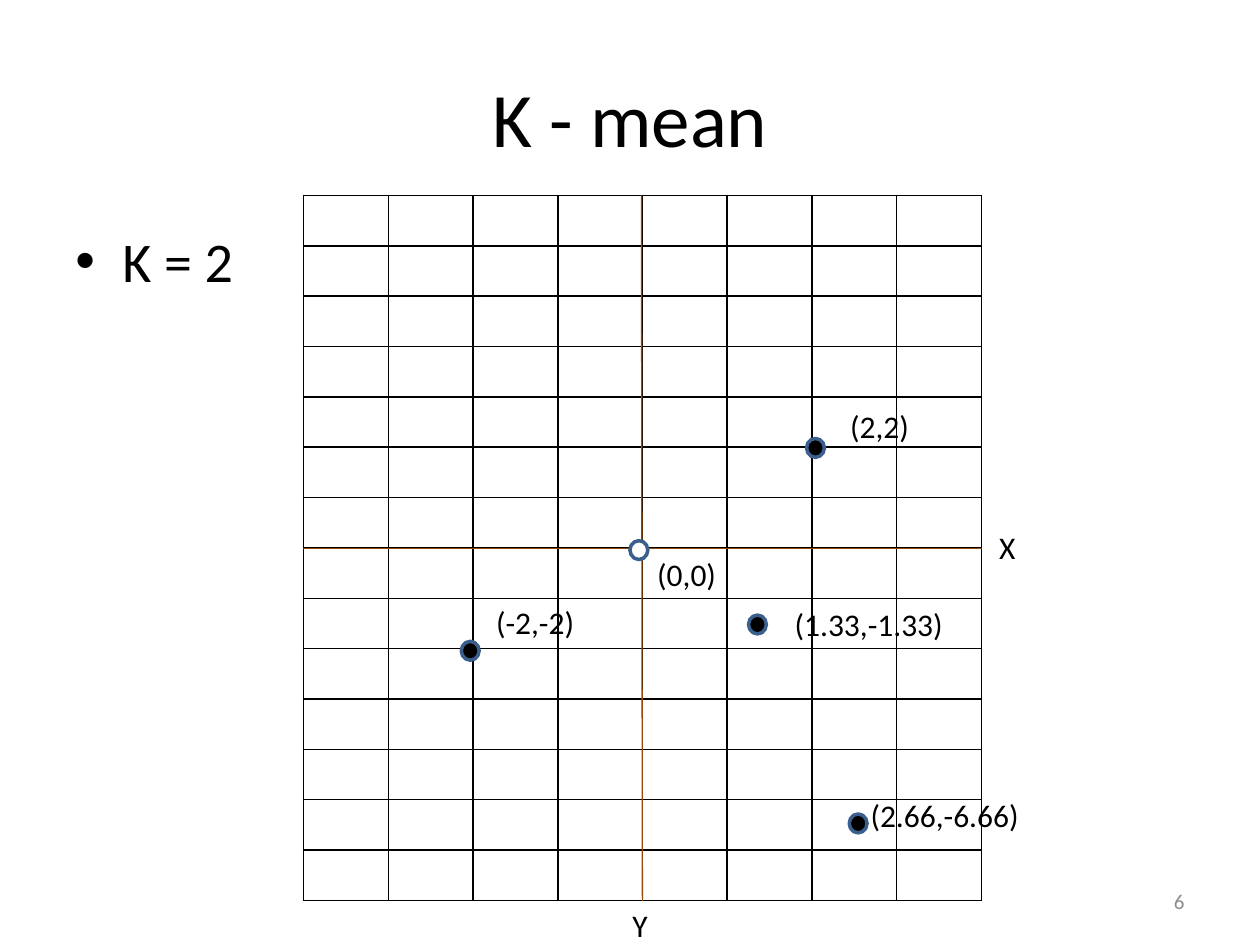
"""Build the K-mean slide: a ruled grid with two axes and labelled points."""
from dataclasses import dataclass

from lxml.etree import SubElement
from pptx import Presentation
from pptx.dml.color import RGBColor
from pptx.enum.shapes import MSO_CONNECTOR, MSO_SHAPE
from pptx.enum.text import MSO_ANCHOR, MSO_AUTO_SIZE, PP_ALIGN
from pptx.oxml.ns import qn
from pptx.util import Cm, Pt

FONT = "Calibri"
BLACK = "000000"
WHITE = "FFFFFF"
ROWS, COLUMNS = 14, 8
GRID_WIDTH, GRID_HEIGHT = 13.67, 14.22
WHITE_CELLS = {(5, 5), (8, 2), (12, 6)}


@dataclass(frozen=True)
class TextItem:
    text: str
    left: float
    top: float
    width: float
    height: float = 1.02
    size: float = 18
    color: str = BLACK
    align: PP_ALIGN = PP_ALIGN.LEFT
    anchor: MSO_ANCHOR = MSO_ANCHOR.TOP
    wrap: bool = False
    bullet: bool = False


@dataclass(frozen=True)
class Point:
    left: float
    top: float
    fill: str = BLACK


@dataclass(frozen=True)
class Axis:
    start_x: float
    start_y: float
    end_x: float
    end_y: float


HEADINGS = [
    TextItem("K - mean", 1.27, 0.76, 22.86, 3.18, 44, align=PP_ALIGN.CENTER,
             anchor=MSO_ANCHOR.MIDDLE, wrap=True),
    TextItem("K = 2", 1.27, 4.45, 22.86, 12.57, 32, wrap=True, bullet=True),
    TextItem("6", 18.21, 17.65, 5.92, 1.02, 12, "8C8C8C", PP_ALIGN.RIGHT,
             MSO_ANCHOR.MIDDLE, True),
]
LABELS = [
    TextItem("X", 19.89, 10.52, 0.84),
    TextItem("Y", 12.5, 18.14, 0.81),
    TextItem("(2.66,-6.66)", 17.3, 15.93, 3.53),
    TextItem("(2,2)", 16.89, 8.08, 1.73),
    TextItem("(-2,-2)", 9.75, 12.04, 2.11),
    TextItem("(1.33,-1.33)", 15.77, 12.07, 3.53),
    TextItem("(0,0)", 13, 11.07, 1.73),
]
AXES = [Axis(6.1, 11.05, 19.79, 11.05), Axis(12.93, 3.94, 12.95, 18.16)]
POINTS = [
    Point(16.26, 8.84),
    Point(17.12, 16.41),
    Point(9.3, 12.93),
    Point(15.09, 12.4),
    Point(12.7, 10.9, WHITE),
]


def rgb(color: str) -> RGBColor:
    return RGBColor.from_string(color)


def add_text(slide, item: TextItem) -> None:
    shape = slide.shapes.add_textbox(
        Cm(item.left), Cm(item.top), Cm(item.width), Cm(item.height))
    text_frame = shape.text_frame
    text_frame.word_wrap = item.wrap
    if not item.wrap:
        text_frame.auto_size = MSO_AUTO_SIZE.SHAPE_TO_FIT_TEXT
    text_frame.vertical_anchor = item.anchor
    text_frame.text = item.text
    paragraph = text_frame.paragraphs[0]
    paragraph.alignment = item.align
    if item.bullet:
        properties = paragraph._p.get_or_add_pPr()
        properties.set("marL", str(Cm(0.95)))
        properties.set("indent", str(-Cm(0.95)))
        SubElement(properties, qn("a:buFont"), typeface="Arial")
        SubElement(properties, qn("a:buChar"), char="•")
    font = paragraph.runs[0].font
    font.name = FONT
    font.size = Pt(item.size)
    font.color.rgb = rgb(item.color)


def add_borders(cell, color: str, width: float) -> None:
    properties = cell._tc.get_or_add_tcPr()
    for side in ("lnL", "lnR", "lnT", "lnB"):
        line = SubElement(properties, qn(f"a:{side}"), w=str(Pt(width)))
        fill = SubElement(line, qn("a:solidFill"))
        SubElement(fill, qn("a:srgbClr"), val=color)


def add_grid(slide) -> None:
    table = slide.shapes.add_table(
        ROWS, COLUMNS, Cm(6.12), Cm(3.94), Cm(GRID_WIDTH), Cm(GRID_HEIGHT)).table
    table.first_row = False
    table.horz_banding = False
    for column in table.columns:
        column.width = Cm(GRID_WIDTH / COLUMNS)
    for row_index, row in enumerate(table.rows):
        row.height = Cm(GRID_HEIGHT / ROWS)
        for column_index, cell in enumerate(row.cells):
            cell.margin_top = cell.margin_bottom = 0
            add_borders(cell, BLACK, 1)
            if (row_index, column_index) in WHITE_CELLS:
                cell.fill.solid()
                cell.fill.fore_color.rgb = rgb(WHITE)
            else:
                cell.fill.background()


def add_axis(slide, axis: Axis) -> None:
    connector = slide.shapes.add_connector(
        MSO_CONNECTOR.STRAIGHT, Cm(axis.start_x), Cm(axis.start_y),
        Cm(axis.end_x), Cm(axis.end_y))
    connector.line.color.rgb = rgb("984807")
    connector.line.width = Pt(0.75)
    SubElement(connector._element.spPr, qn("a:effectLst"))


def add_point(slide, point: Point) -> None:
    shape = slide.shapes.add_shape(
        MSO_SHAPE.OVAL, Cm(point.left), Cm(point.top), Cm(0.36), Cm(0.38))
    shape.shadow.inherit = False
    shape.fill.solid()
    shape.fill.fore_color.rgb = rgb(point.fill)
    shape.line.color.rgb = rgb("3A5F8C")
    shape.line.width = Pt(2)


def main() -> None:
    presentation = Presentation()
    presentation.slide_width = Cm(25.4)
    presentation.slide_height = Cm(19.05)
    slide = presentation.slides.add_slide(presentation.slide_layouts[6])
    for heading in HEADINGS:
        add_text(slide, heading)
    add_grid(slide)
    for axis in AXES:
        add_axis(slide, axis)
    for label in LABELS:
        add_text(slide, label)
    for point in POINTS:
        add_point(slide, point)
    presentation.save("out.pptx")


if __name__ == "__main__":
    main()
